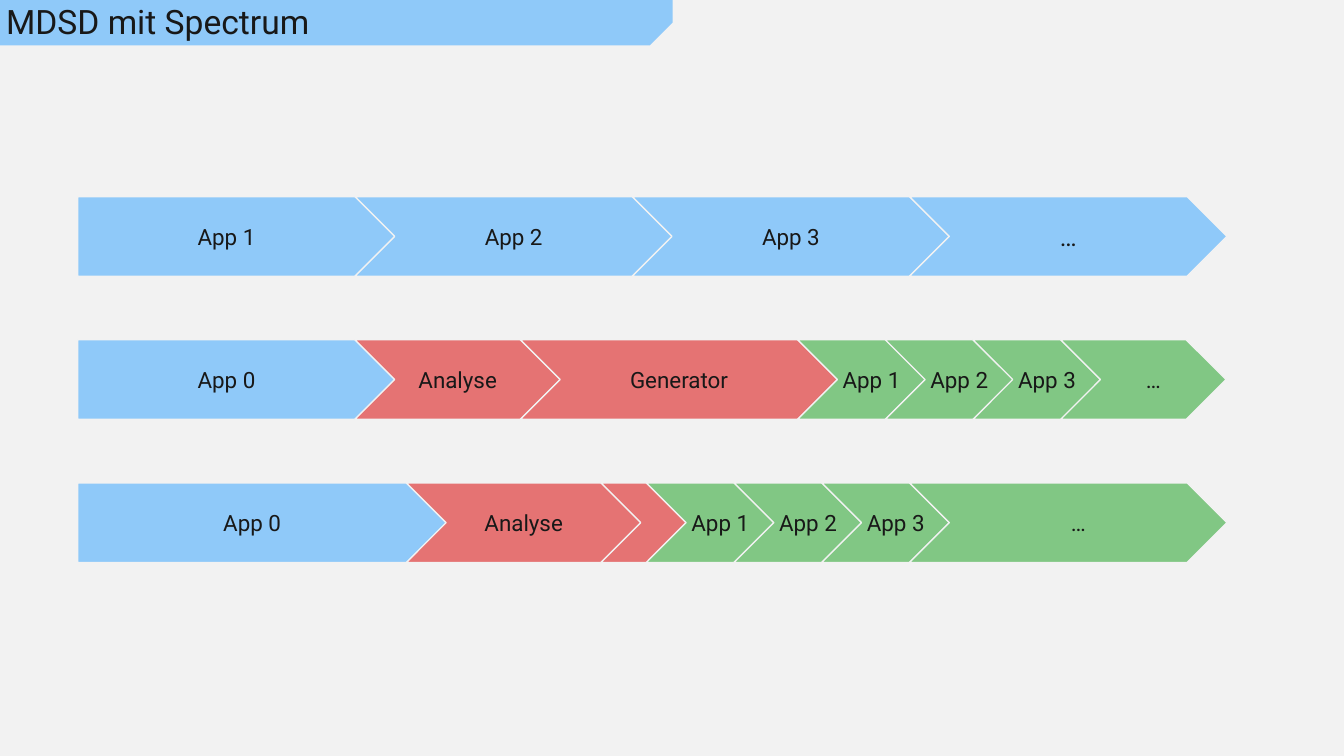
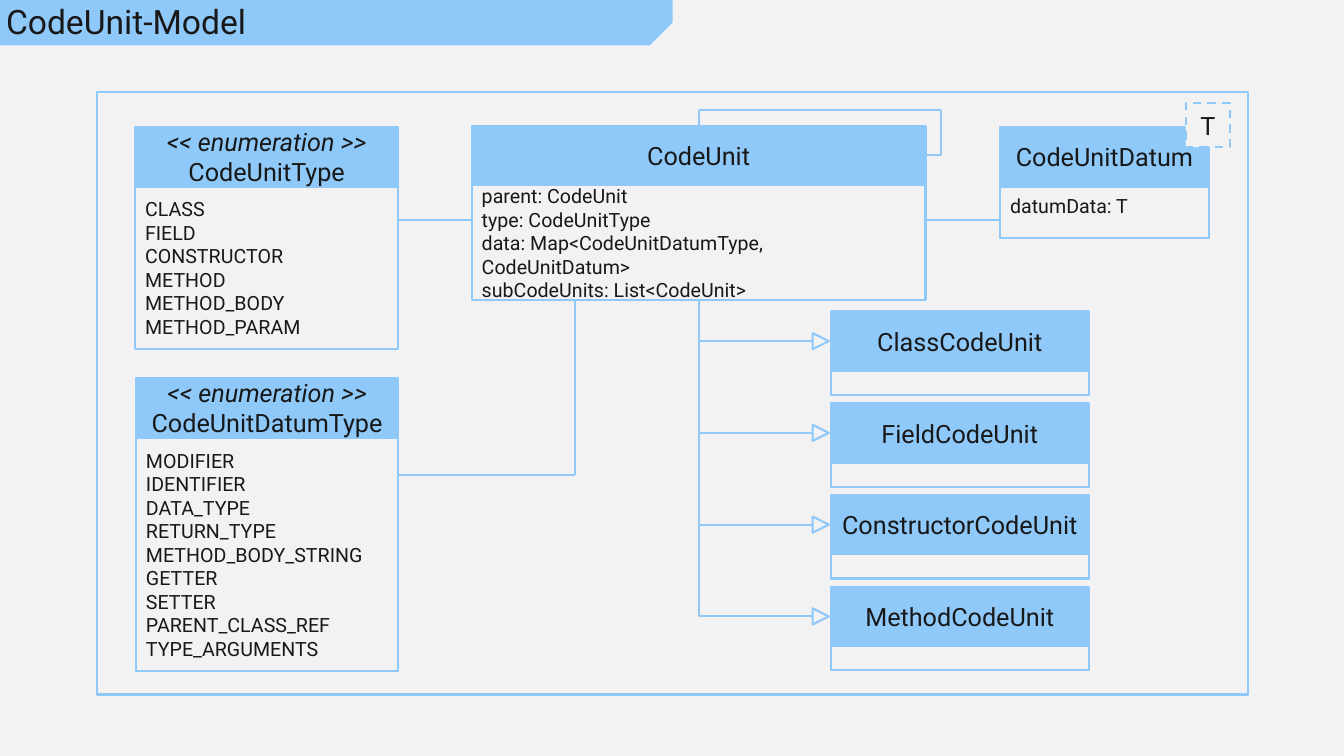
from itertools import pairwise

from lxml import etree
from pptx import Presentation
from pptx.dml.color import RGBColor
from pptx.enum.dml import MSO_LINE
from pptx.enum.shapes import MSO_CONNECTOR, MSO_SHAPE
from pptx.enum.text import MSO_ANCHOR, PP_ALIGN
from pptx.oxml.ns import qn
from pptx.util import Inches, Pt

RECTANGLE = MSO_SHAPE.RECTANGLE
PENTAGON = MSO_SHAPE.PENTAGON
CHEVRON = MSO_SHAPE.CHEVRON
TRIANGLE = MSO_SHAPE.ISOSCELES_TRIANGLE
SNIPPED = MSO_SHAPE.SNIP_1_RECTANGLE
STRAIGHT = MSO_CONNECTOR.STRAIGHT
DASH = MSO_LINE.DASH
MIDDLE, TOP = MSO_ANCHOR.MIDDLE, MSO_ANCHOR.TOP
CENTER, LEFT = PP_ALIGN.CENTER, PP_ALIGN.LEFT

FONT = "Roboto"
BACKGROUND = "F2F2F2"
INK = "181818"
BLUE = "8FC9F9"
RED = "E57373"
GREEN = "81C784"

BAND_WIDTH, BAND_HEIGHT = 6.67, 0.45
STEP_HEIGHT = 0.79
STEP_OVERLAP = 0.4
HEADER_HEIGHT = 0.59
ARROW_SIZE = 0.16
DEFAULT_INSETS = (0.1, 0.05, 0.1, 0.05)


def color(value):
    return RGBColor.from_string(value)


def add_box(slide, kind, box, fill, line=None, line_width=1.5):
    shape = slide.shapes.add_shape(kind, *[Inches(length) for length in box])
    shape.shadow.inherit = False
    shape.fill.solid()
    shape.fill.fore_color.rgb = color(fill)
    if line:
        shape.line.color.rgb = color(line)
        shape.line.width = Pt(line_width)
    else:
        shape.line.fill.background()
    return shape


def write(shape, lines, size, align=CENTER, anchor=MIDDLE,
          insets=DEFAULT_INSETS, wrap=True, italic_lines=0):
    frame = shape.text_frame
    frame.word_wrap = wrap
    frame.vertical_anchor = anchor
    (frame.margin_left, frame.margin_top,
     frame.margin_right, frame.margin_bottom) = [Inches(inset) for inset in insets]
    for index, line in enumerate(lines):
        paragraph = frame.add_paragraph() if index else frame.paragraphs[0]
        paragraph.alignment = align
        run = paragraph.add_run()
        run.text = line
        run.font.name = FONT
        run.font.size = Pt(size)
        run.font.italic = index < italic_lines
        run.font.color.rgb = color(INK)


def add_route(slide, *points):
    for (start_x, start_y), (end_x, end_y) in pairwise(points):
        connector = slide.shapes.add_connector(
            STRAIGHT, Inches(start_x), Inches(start_y), Inches(end_x), Inches(end_y))
        connector.line.color.rgb = color(BLUE)
        connector.line.width = Pt(1.5)
        etree.SubElement(connector._element.spPr, qn("a:effectLst"))


def add_title_band(slide):
    left = (BAND_WIDTH - BAND_HEIGHT) / 2
    band = add_box(slide, SNIPPED, (left, -left, BAND_HEIGHT, BAND_WIDTH), BLUE)
    band.rotation = 90
    band.adjustments[0] = 0.5
    slide.shapes._spTree.insert(2, band._element)


def add_titled_slide(presentation, text):
    slide = presentation.slides.add_slide(presentation.slide_layouts[5])
    add_title_band(slide)
    title = slide.shapes.title
    title.left, title.top = Inches(0.06), Inches(0.05)
    title.width, title.height = Inches(BAND_WIDTH), Inches(BAND_HEIGHT)
    write(title, [text], 24, LEFT, TOP, (0, 0, 0, 0))
    title.text_frame.paragraphs[0].line_spacing = 0.9
    return slide


def add_process(slide, left, top, steps):
    for index, (label, width, fill, size) in enumerate(steps):
        kind = CHEVRON if index else PENTAGON
        step = add_box(slide, kind, (left, top, width, STEP_HEIGHT), fill, BACKGROUND, 1)
        generated = fill == GREEN
        insets = (0.2, 0.05, 0, 0.05) if generated else DEFAULT_INSETS
        if label:
            write(step, [label], size, insets=insets, wrap=not generated)
        left += width - STEP_OVERLAP


def add_class(slide, box, header, members=(), insets=(0.1, 0.08, 0.1, 0.08)):
    left, top, width, height = box
    body = add_box(slide, RECTANGLE,
                   (left, top + HEADER_HEIGHT, width, height - HEADER_HEIGHT),
                   BACKGROUND, BLUE)
    if members:
        write(body, members, 14, LEFT, insets=insets)
    head = add_box(slide, RECTANGLE, (left, top, width, HEADER_HEIGHT), BLUE, BLUE)
    write(head, header, 18, italic_lines=len(header) - 1)


def add_subclasses(slide, left, top, trunk_x, trunk_top, names):
    arrow_left = left - 0.18
    for index, name in enumerate(names):
        class_top = top + 0.91 * index
        arrow_y = class_top + HEADER_HEIGHT / 2
        add_class(slide, (left, class_top, 2.56, 0.83), [name])
        add_route(slide, (trunk_x, arrow_y), (arrow_left, arrow_y))
        arrow = add_box(slide, TRIANGLE,
                        (arrow_left, arrow_y - ARROW_SIZE / 2, ARROW_SIZE, ARROW_SIZE),
                        BACKGROUND, BLUE)
        arrow.rotation = 90
    add_route(slide, (trunk_x, trunk_top), (trunk_x, arrow_y))


def build_process_slide(presentation):
    slide = add_titled_slide(presentation, "MDSD mit Spectrum")
    apps = [(f"App {number}", 1.27, GREEN, 16) for number in (1, 2, 3)]
    processes = [
        [("App 1", 3.15, BLUE, 16), ("App 2", 3.15, BLUE, 16),
         ("App 3", 3.15, BLUE, 16), ("…", 3.15, BLUE, 18)],
        [("App 0", 3.15, BLUE, 16), ("Analyse", 2.04, RED, 16),
         ("Generator", 3.15, RED, 16), *apps, ("…", 1.64, GREEN, 16)],
        [("App 0", 3.66, BLUE, 16), ("Analyse", 2.33, RED, 16),
         ("", 0.85, RED, 16), *apps, ("…", 3.15, GREEN, 16)],
    ]
    for index, steps in enumerate(processes):
        add_process(slide, 0.77, 1.95 + 1.42 * index, steps)


def build_model_slide(presentation):
    slide = add_titled_slide(presentation, "CodeUnit-Model")
    add_box(slide, RECTANGLE, (0.96, 0.91, 11.42, 5.98), BACKGROUND, BLUE)
    add_class(slide, (4.68, 1.25, 4.5, 1.73), ["CodeUnit"], [
        "parent: CodeUnit", "type: CodeUnitType",
        "data: Map<CodeUnitDatumType, CodeUnitDatum>",
        "subCodeUnits: List<CodeUnit>"])
    add_class(slide, (1.34, 1.26, 2.61, 2.2), ["<< enumeration >>", "CodeUnitType"], [
        "CLASS", "FIELD", "CONSTRUCTOR", "METHOD", "METHOD_BODY", "METHOD_PARAM"])
    add_class(slide, (1.35, 3.75, 2.6, 2.91), ["<< enumeration >>", "CodeUnitDatumType"], [
        "MODIFIER", "IDENTIFIER", "DATA_TYPE", "RETURN_TYPE", "METHOD_BODY_STRING",
        "GETTER", "SETTER", "PARENT_CLASS_REF", "TYPE_ARGUMENTS"])
    add_class(slide, (9.92, 1.26, 2.07, 1.1), ["CodeUnitDatum"], ["datumData: T"],
              (0.1, 0.08, 0.1, 0.2))
    add_route(slide, (4.68, 2.18), (3.95, 2.18))
    add_route(slide, (9.92, 2.18), (9.18, 2.18))
    add_route(slide, (9.18, 1.54), (9.33, 1.54), (9.33, 1.09), (6.93, 1.09), (6.93, 1.25))
    add_route(slide, (5.7, 2.98), (5.7, 4.71), (3.95, 4.71))
    add_subclasses(slide, 8.24, 3.09, 6.93, 2.98, [
        "ClassCodeUnit", "FieldCodeUnit", "ConstructorCodeUnit", "MethodCodeUnit"])
    parameter = add_box(slide, RECTANGLE, (11.76, 1.02, 0.44, 0.44), BACKGROUND, BLUE)
    parameter.line.dash_style = DASH
    write(parameter, ["T"], 18)


def main():
    presentation = Presentation()
    presentation.slide_width = Inches(13.33)
    presentation.slide_height = Inches(7.5)
    background = presentation.slide_master.background.fill
    background.solid()
    background.fore_color.rgb = color(BACKGROUND)
    build_process_slide(presentation)
    build_model_slide(presentation)
    presentation.save("out.pptx")


if __name__ == "__main__":
    main()
